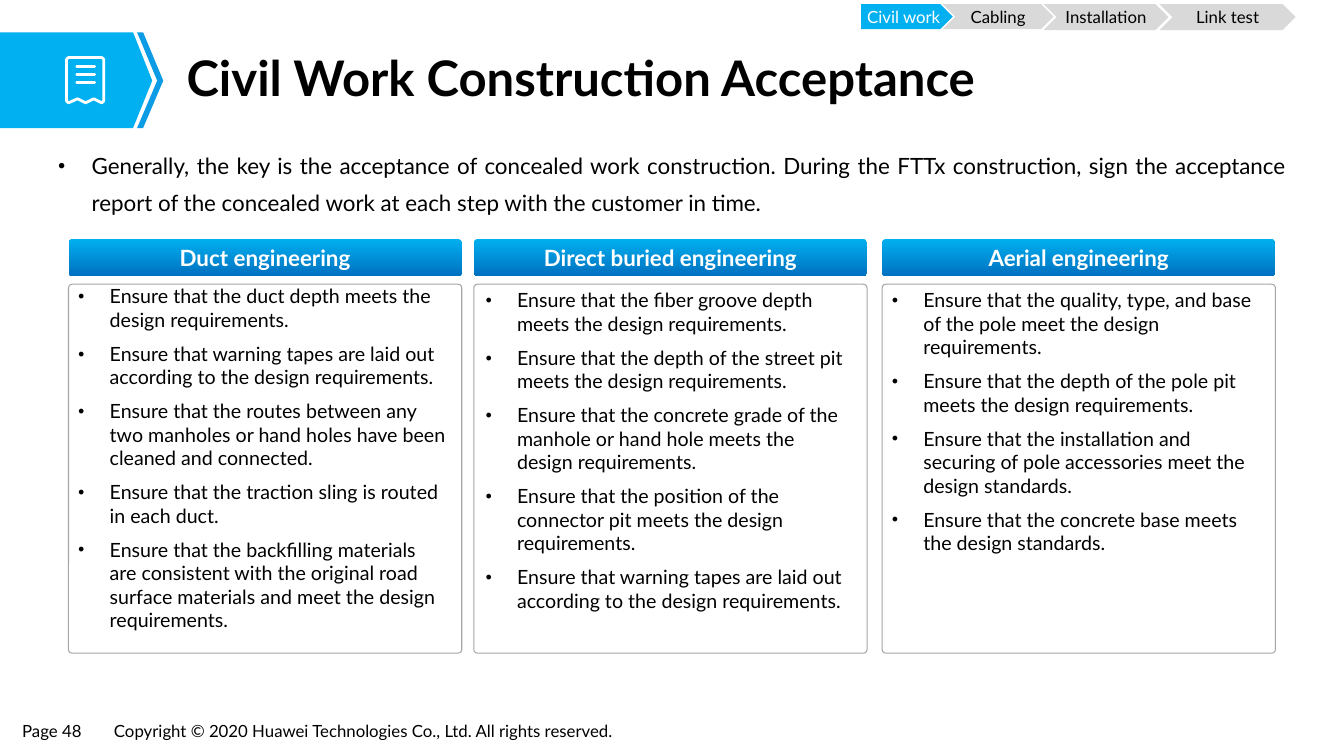
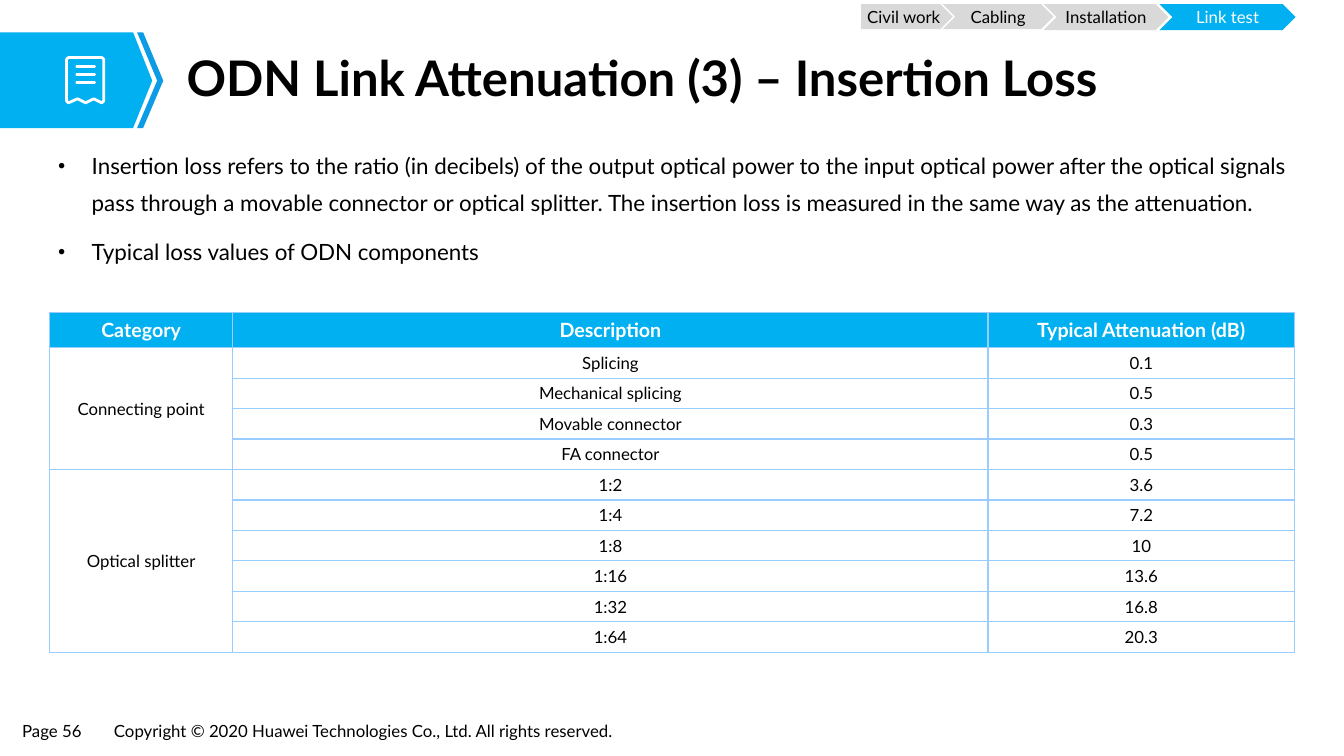
import math
from dataclasses import dataclass

import pptx
import pptx.dml.color
import pptx.enum.shapes
import pptx.enum.text
import pptx.oxml
import pptx.oxml.ns
import pptx.util

Inches = pptx.util.Inches
Pt = pptx.util.Pt
RGB = pptx.dml.color.RGBColor.from_string
SHAPE = pptx.enum.shapes.MSO_SHAPE
ALIGN = pptx.enum.text.PP_ALIGN
ANCHOR = pptx.enum.text.MSO_ANCHOR
qn = pptx.oxml.ns.qn


@dataclass(frozen=True)
class Theme:
    font: str = "Lato"
    accent: str = "00B0F0"
    accent_edge: str = "0B9CE5"
    accent_deep: str = "0070C0"
    muted: str = "D9D9D9"
    outline: str = "A6A6A6"
    grid: str = "99CCFF"
    ink: str = "000000"
    white: str = "FFFFFF"
    title: float = 35
    body: float = 16
    item: float = 14
    small: float = 12


@dataclass(frozen=True)
class Box:
    x: float
    y: float
    w: float
    h: float

    def lengths(self) -> tuple:
        return tuple(Inches(v) for v in (self.x, self.y, self.w, self.h))


@dataclass(frozen=True)
class Style:
    size: float
    color: str = "000000"
    bold: bool = False
    align: ALIGN = ALIGN.LEFT
    line: float = 1.0
    before: float = 0
    bullet_indent: float = 0


@dataclass(frozen=True)
class Step:
    label: str
    box: Box
    kind: SHAPE = SHAPE.CHEVRON


@dataclass(frozen=True)
class Column:
    heading: str
    x: float
    text_box: Box
    items: tuple[str, ...]


T = Theme()
TITLE = Style(T.title, bold=True, line=0.9)
BODY = Style(T.body, align=ALIGN.JUSTIFY, line=1.4, before=7.9, bullet_indent=0.33)
ITEM = Style(T.item, before=7.4, bullet_indent=0.31)
HEADING = Style(T.body, T.white, True, ALIGN.CENTER)
FOOTER = Style(T.small)
STEP = Style(T.small, align=ALIGN.CENTER)
STEP_ACTIVE = Style(T.small, T.white, align=ALIGN.CENTER)
TABLE_HEAD = Style(T.item, T.white, True, ALIGN.CENTER)
TABLE_CELL = Style(T.small, align=ALIGN.CENTER)

COPYRIGHT = "Copyright © 2020 Huawei Technologies Co., Ltd. All rights reserved."
STEPS = (
    Step("Cabling", Box(9.35, 0.04, 1.1, 0.25)),
    Step("Installation", Box(10.35, 0.04, 1.24, 0.26)),
    Step("Link test", Box(11.5, 0.04, 1.35, 0.26)),
    Step("Civil work", Box(8.54, 0.04, 0.91, 0.25), SHAPE.PENTAGON),
)
COLUMNS = (
    Column("Duct engineering", 0.68, Box(0.68, 2.77, 3.86, 3.05), (
        "Ensure that the duct depth meets the design requirements.",
        "Ensure that warning tapes are laid out according to the design requirements.",
        "Ensure that the routes between any two manholes or hand holes have been cleaned and connected.",
        "Ensure that the traction sling is routed in each duct.",
        "Ensure that the backfilling materials are consistent with the original road surface materials "
        "and meet the design requirements.",
    )),
    Column("Direct buried engineering", 4.7, Box(4.72, 2.81, 3.86, 2.88), (
        "Ensure that the fiber groove depth meets the design requirements.",
        "Ensure that the depth of the street pit meets the design requirements.",
        "Ensure that the concrete grade of the manhole or hand hole meets the design requirements.",
        "Ensure that the position of the connector pit meets the design requirements.",
        "Ensure that warning tapes are laid out according to the design requirements.",
    )),
    Column("Aerial engineering", 8.75, Box(8.75, 2.81, 3.9, 2.12), (
        "Ensure that the quality, type, and base of the pole meet the design requirements.",
        "Ensure that the depth of the pole pit meets the design requirements.",
        "Ensure that the installation and securing of pole accessories meet the design standards.",
        "Ensure that the concrete base meets the design standards.",
    )),
)
LOSS_HEAD = ("Category", "Description", "Typical Attenuation (dB)")
LOSSES = {
    "Connecting point": (("Splicing", "0.1"), ("Mechanical splicing", "0.5"),
                         ("Movable connector", "0.3"), ("FA connector", "0.5")),
    "Optical splitter": (("1:2", "3.6"), ("1:4", "7.2"), ("1:8", "10"),
                         ("1:16", "13.6"), ("1:32", "16.8"), ("1:64", "20.3")),
}


# Text
def add_bullet(p, indent: float) -> None:
    pPr = p._p.get_or_add_pPr()
    pPr.set("marL", str(Inches(indent)))
    pPr.set("indent", str(-Inches(indent)))
    for tag, name, value in (("a:buSzPct", "val", "50000"), ("a:buFont", "typeface", T.font),
                             ("a:buChar", "char", "●")):
        el = pptx.oxml.ns.qn(tag)
        pPr.append(pPr.makeelement(el, {name: value}))


def write(tf, lines: tuple[str, ...], style: Style) -> None:
    for i, line in enumerate(lines):
        p = tf.add_paragraph() if i else tf.paragraphs[0]
        if style.bullet_indent:
            add_bullet(p, style.bullet_indent)
        p.alignment = style.align
        p.line_spacing = style.line
        p.space_before = Pt(style.before if i else 0)
        r = p.add_run()
        r.text = line
        r.font.name = T.font
        r.font.size = Pt(style.size)
        r.font.bold = style.bold
        r.font.color.rgb = RGB(style.color)


def set_frame(tf, inset: tuple[float, float], anchor: ANCHOR) -> None:
    tf.word_wrap = True
    tf.vertical_anchor = anchor
    tf.margin_left = tf.margin_right = Inches(inset[0])
    tf.margin_top = tf.margin_bottom = Inches(inset[1])


def add_text(s, box: Box, lines: tuple[str, ...], style: Style,
             inset: tuple[float, float] = (0.09, 0.04), anchor: ANCHOR = ANCHOR.TOP) -> None:
    tf = s.shapes.add_textbox(*box.lengths()).text_frame
    set_frame(tf, inset, anchor)
    write(tf, lines, style)


# Shapes
def paint(sp, fill: str | None = None, line: str | None = None, width: float = 0.75) -> None:
    sp.shadow.inherit = False
    if fill:
        sp.fill.solid()
        sp.fill.fore_color.rgb = RGB(fill)
    else:
        sp.fill.background()
    if line:
        sp.line.color.rgb = RGB(line)
        sp.line.width = Pt(width)
    else:
        sp.line.fill.background()


def add_outline(s, points: list[tuple[float, float]]):
    pts = [(Inches(x), Inches(y)) for x, y in points]
    fb = s.shapes.build_freeform(*pts[0])
    fb.add_line_segments(pts[1:], close=True)
    return fb.convert_to_shape()


def arc(cx: float, cy: float, radius: float, start: int) -> list[tuple[float, float]]:
    angles = [math.radians(start + a) for a in range(0, 91, 15)]
    return [(cx + radius * math.cos(a), cy + radius * math.sin(a)) for a in angles]


def add_receipt_icon(s) -> None:
    left, right, top, low, radius = 0.66, 1.03, 0.57, 1.02, 0.03
    zigzag = [(right, low - 0.02), (right - 0.02, low), (0.93, 0.98), (0.85, low),
              (0.77, 0.98), (left + 0.02, low), (left, low - 0.02)]
    corners = arc(left + radius, top + radius, radius, 180) + arc(right - radius, top + radius, radius, 270)
    paint(add_outline(s, corners + zigzag), line=T.white, width=2)
    for i in range(3):
        y = Inches(0.66 + 0.08 * i)
        c = s.shapes.add_connector(pptx.enum.shapes.MSO_CONNECTOR.STRAIGHT, Inches(0.76), y, Inches(0.94), y)
        c.line.color.rgb = RGB(T.white)
        c.line.width = Pt(1.75)
        c.line._get_or_add_ln().set("cap", "rnd")
        spPr = c._element.spPr
        spPr.append(spPr.makeelement(qn("a:effectLst"), {}))


# Parts shared by both slides
def add_frame(prs, page: int, title: str, body: tuple[str, ...]):
    s = prs.slides.add_slide(prs.slide_layouts[6])
    add_text(s, Box(0.13, 7.11, 0.81, 0.29), (f"Page {page}",), FOOTER)
    add_text(s, Box(1.04, 7.11, 5.41, 0.29), (COPYRIGHT,), FOOTER)
    top, mid, low = 0.32, 0.8, 1.27
    paint(add_outline(s, [(0, top), (1.32, top), (1.51, mid), (1.32, low), (0, low)]), T.accent)
    paint(add_outline(s, [(1.36, top), (1.42, top), (1.62, mid), (1.42, low), (1.36, low), (1.56, mid)]),
          T.accent_edge)
    add_receipt_icon(s)
    add_text(s, Box(0.49, 1.36, 12.36, 5.12), body, BODY)
    add_text(s, Box(1.74, 0.45, 10.75, 0.7), (title,), TITLE, (0.11, 0.06), ANCHOR.MIDDLE)
    return s


def add_steps(s, active: str) -> None:
    for step in STEPS:
        on = step.label == active
        sp = s.shapes.add_shape(step.kind, *step.box.lengths())
        paint(sp, T.accent if on else T.muted)
        set_frame(sp.text_frame, (0.04 if on else 0, 0), ANCHOR.MIDDLE)
        write(sp.text_frame, (step.label,), STEP_ACTIVE if on else STEP)


# Columns with a gradient heading over an outlined panel
def add_column(s, column: Column) -> None:
    head = s.shapes.add_shape(SHAPE.ROUNDED_RECTANGLE, *Box(column.x, 2.37, 3.9, 0.37).lengths())
    head.adjustments[0] = 0.11
    paint(head)
    head.fill.gradient()
    head.fill.gradient_angle = 270
    for stop, color, position in zip(head.fill.gradient_stops, (T.accent, T.accent_deep), (0, 1)):
        stop.color.rgb = RGB(color)
        stop.position = position
    set_frame(head.text_frame, (0.1, 0.05), ANCHOR.MIDDLE)
    write(head.text_frame, (column.heading,), HEADING)

    panel = s.shapes.add_shape(SHAPE.ROUNDED_RECTANGLE, *Box(column.x, 2.82, 3.9, 3.66).lengths())
    panel.adjustments[0] = 0.01
    paint(panel, line=T.outline)
    add_text(s, column.text_box, column.items, ITEM, (0.1, 0.05))


# Table
def format_cell(cell, fill: str) -> None:
    tcPr = cell._tc.get_or_add_tcPr()
    for side in ("lnL", "lnR", "lnT", "lnB"):
        tcPr.append(pptx.oxml.parse_xml(
            f'<a:{side} xmlns:a="http://schemas.openxmlformats.org/drawingml/2006/main" w="{Pt(1)}">'
            f'<a:solidFill><a:srgbClr val="{T.grid}"/></a:solidFill></a:{side}>'))
    cell.fill.solid()
    cell.fill.fore_color.rgb = RGB(fill)
    cell.vertical_anchor = ANCHOR.MIDDLE
    cell.margin_left = cell.margin_right = Inches(0.1)
    cell.margin_top = cell.margin_bottom = Inches(0.05)


def add_loss_table(s) -> None:
    rows = [LOSS_HEAD]
    for category, losses in LOSSES.items():
        rows += [(category if i == 0 else "", *loss) for i, loss in enumerate(losses)]
    box = Box(0.49, 3.1, 12.35, 3.37)
    head_h = 0.35
    table = s.shapes.add_table(len(rows), len(LOSS_HEAD), *box.lengths()).table
    table.horz_banding = False
    for col, width in zip(table.columns, (1.82, 7.49, 3.04)):
        col.width = Inches(width)
    for i, values in enumerate(rows):
        table.rows[i].height = Inches(head_h if i == 0 else (box.h - head_h) / (len(rows) - 1))
        for j, value in enumerate(values):
            cell = table.cell(i, j)
            format_cell(cell, T.white if i else T.accent)
            if value:
                write(cell.text_frame, (value,), TABLE_CELL if i else TABLE_HEAD)
    first = 1
    for losses in LOSSES.values():
        last = first + len(losses) - 1
        table.cell(first, 0).merge(table.cell(last, 0))
        first = last + 1


def main() -> None:
    prs = pptx.Presentation()
    prs.slide_width, prs.slide_height = Inches(13.33), Inches(7.5)

    # Acceptance slide
    s = add_frame(prs, 48, "Civil Work Construction Acceptance", (
        "Generally, the key is the acceptance of concealed work construction. During the FTTx construction, "
        "sign the acceptance report of the concealed work at each step with the customer in time.",
    ))
    for column in COLUMNS:
        add_column(s, column)
    add_steps(s, "Civil work")

    # Insertion loss slide
    s = add_frame(prs, 56, "ODN Link Attenuation (3) – Insertion Loss", (
        "Insertion loss refers to the ratio (in decibels) of the output optical power to the input optical power "
        "after the optical signals pass through a movable connector or optical splitter. "
        "The insertion loss is measured in the same way as the attenuation.",
        "Typical loss values of ODN components",
    ))
    add_loss_table(s)
    add_steps(s, "Link test")

    prs.save("out.pptx")


if __name__ == "__main__":
    main()
